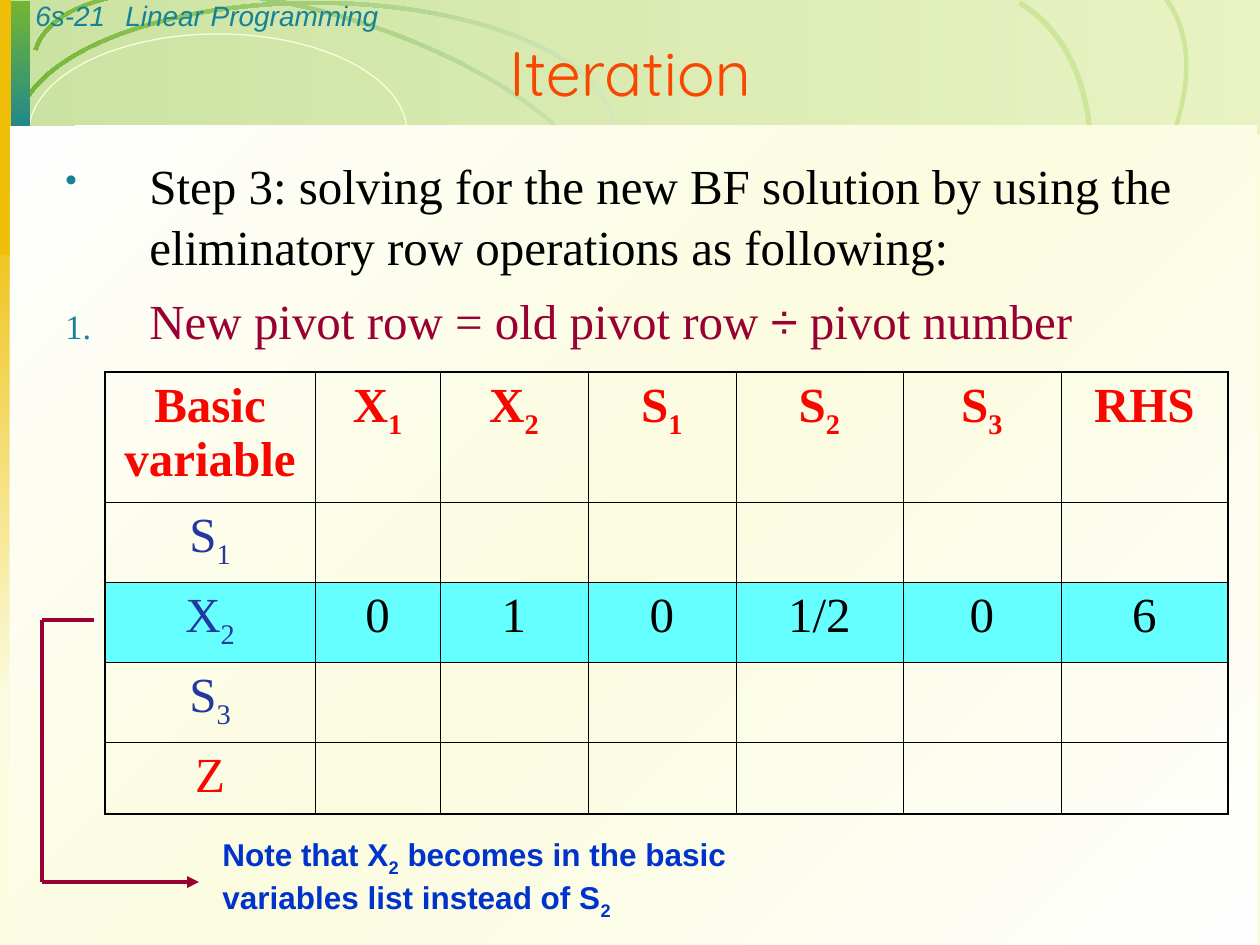
from itertools import pairwise

from lxml.etree import SubElement
from pptx import Presentation
from pptx.dml.color import RGBColor
from pptx.enum.shapes import MSO_CONNECTOR, MSO_SHAPE
from pptx.enum.text import MSO_ANCHOR, PP_ALIGN
from pptx.oxml import parse_xml
from pptx.oxml.ns import nsdecls, qn
from pptx.util import Pt

EMU_PER_PX = 914400 / 126
SERIF = "Times New Roman"
SANS = "Arial"
CREAM, YELLOW, GREEN, TEAL = "FBFCDF", "EFBE09", "74B632", "148298"
PALE_GREEN, LIME = "D4E8C0", "CDE69A"
ORANGE, MAROON, RED, NAVY, BLUE = "F84700", "990033", "F80600", "2237A0", "0033CC"
BLACK, WHITE, CYAN = "000000", "FEFEFE", "66FFFF"


def px(length):
    """Turn pixels into EMU."""
    return round(length * EMU_PER_PX)


def color(code):
    """Turn a hex string into a colour."""
    return RGBColor.from_string(code)


def add_gradient(shape, angle, stops):
    """Fill a shape with a linear gradient of (percent, colour, opacity) stops."""
    marks = "".join(
        f'<a:gs pos="{place * 1000}"><a:srgbClr val="{code}">'
        f'<a:alpha val="{opacity * 1000}"/></a:srgbClr></a:gs>'
        for place, code, opacity in stops
    )
    gradient = parse_xml(
        f'<a:gradFill {nsdecls("a")} rotWithShape="1"><a:gsLst>{marks}</a:gsLst>'
        f'<a:lin ang="{angle * 60000}" scaled="0"/></a:gradFill>'
    )
    shape._element.spPr.find(qn("a:prstGeom")).addnext(gradient)


def add_figure(page, kind, box, fill=None, angle=0, stops=()):
    """Add an unlined preset shape with a plain, gradient or empty fill."""
    shape = page.shapes.add_shape(kind, *map(px, box))
    shape.shadow.inherit = False
    shape.line.fill.background()
    if stops:
        add_gradient(shape, angle, stops)
    elif fill:
        shape.fill.solid()
        shape.fill.fore_color.rgb = color(fill)
    else:
        shape.fill.background()
    return shape


def add_arc(page, box, rotation=0, flip=False, **paint):
    """Add a thin half-ring, turned and flipped as asked."""
    arc = add_figure(page, MSO_SHAPE.BLOCK_ARC, box, **paint)
    for index, value in enumerate((108, 0, 0.014)):
        arc.adjustments[index] = value
    arc.rotation = rotation
    if flip:
        arc._element.spPr.xfrm.set("flipV", "1")


def add_spans(para, text, size, code, font=SERIF, bold=False, italic=False):
    """Write text whose every second part, split at bars, is a subscript."""
    for index, part in enumerate(text.split("|")):
        if part:
            span = para.add_run()
            span.text = part
            span.font.size, span.font.name = Pt(size), font
            span.font.bold, span.font.italic = bold, italic
            span.font.color.rgb = color(code)
            if index % 2:
                span._r.get_or_add_rPr().set("baseline", "-25000")


def add_text_box(page, box):
    """Add a wrapping text box and return its frame."""
    frame = page.shapes.add_textbox(*map(px, box)).text_frame
    frame.word_wrap = True
    return frame


def add_backdrop(page):
    """Draw the green header, the side bars and the pale panel."""
    rectangle = MSO_SHAPE.RECTANGLE
    arc_stops = [(0, PALE_GREEN, 100), (100, GREEN, 100)]
    add_figure(page, rectangle, (1, 0, 1259, 134), angle=180,
               stops=[(0, "BCDD7B", 29), (100, GREEN, 36)])
    add_arc(page, (20, 14, 601, 251), 17.5, angle=162, stops=arc_stops)
    oval = add_figure(page, MSO_SHAPE.OVAL, (29, 34, 378, 197))
    oval.line.color.rgb = color(CREAM)
    oval.line.width = Pt(0.75)
    add_figure(page, rectangle, (0, 195, 28, 505), angle=90,
               stops=[(0, YELLOW, 100), (100, CREAM, 100)])
    add_arc(page, (639, 30, 601, 326), 318.2, True, fill=LIME)
    add_arc(page, (567, 66, 601, 386), 300.7, True, fill=LIME)
    add_arc(page, (15, 1, 601, 261), angle=180, stops=arc_stops)
    add_figure(page, rectangle, (1, 1, 29, 145), angle=90,
               stops=[(0, GREEN, 100), (100, TEAL, 100)])
    add_figure(page, rectangle, (0, 0, 11, 255), YELLOW)
    add_figure(page, rectangle, (10, 126, 1247, 819), angle=225,
               stops=[(0, WHITE, 100), (50, CREAM, 100), (100, WHITE, 100)])


def add_header(page):
    """Write the page number, the chapter name and the title."""
    for text, left, width in (("6s-21", 23, 110), ("Linear Programming", 113, 1092)):
        frame = add_text_box(page, (left, -8, width, 47))
        add_spans(frame.paragraphs[0], text, 16, TEAL, SANS, italic=True)
    title = page.shapes.title
    title.left, title.top, title.width, title.height = map(px, (0, 8, 1260, 126))
    page.shapes._spTree.append(title._element)
    frame = title.text_frame
    frame.vertical_anchor = MSO_ANCHOR.MIDDLE
    para = frame.paragraphs[0]
    para.alignment = PP_ALIGN.CENTER
    add_spans(para, "Iteration", 36, ORANGE, "Quicksand")


def add_bullet(para, tag, attribute, value):
    """Give a paragraph a hanging teal bullet or number."""
    properties = para._p.get_or_add_pPr()
    properties.set("marL", str(px(84)))
    properties.set("indent", str(px(-84)))
    tint = SubElement(properties, qn("a:buClr"))
    SubElement(tint, qn("a:srgbClr")).set("val", TEAL)
    SubElement(properties, qn("a:buSzPct")).set("val", "70000")
    SubElement(properties, qn(tag)).set(attribute, value)


def add_steps(page, box):
    """Write the step and its first numbered operation."""
    frame = add_text_box(page, box)
    step, operation = frame.paragraphs[0], frame.add_paragraph()
    for para in (step, operation):
        para.space_before = Pt(7)
        para.line_spacing = 1.05
    add_bullet(step, "a:buChar", "char", "•")
    add_bullet(operation, "a:buAutoNum", "type", "arabicPeriod")
    add_spans(step, "Step 3: solving for the new BF solution by using the "
              "eliminatory row operations as following:", 28, BLACK)
    add_spans(operation, "New pivot row = old pivot row ", 28, MAROON)
    add_spans(operation, "÷", 28, MAROON, SANS)
    add_spans(operation, " pivot number", 28, MAROON)


def set_borders(cell, outer_sides):
    """Draw black cell borders, heavier on the outer sides."""
    properties = cell._tc.get_or_add_tcPr()
    for index, side in enumerate("LRTB"):
        width = 1.08 if side in outer_sides else 0.45
        properties.insert(index, parse_xml(
            f'<a:ln{side} {nsdecls("a")} w="{Pt(width)}"><a:solidFill>'
            f'<a:srgbClr val="{BLACK}"/></a:solidFill></a:ln{side}>'))


def add_tableau(page, left, top):
    """Add the simplex table with its pivot row filled."""
    widths = (210, 125, 148, 148, 167, 158, 167)
    heights = (130, 80, 80, 80, 72)
    rows = (
        ("Basic variable", "X|1", "X|2", "S|1", "S|2", "S|3", "RHS"),
        ("S|1",) + ("",) * 6,
        ("X|2", "0", "1", "0", "1/2", "0", "6"),
        ("S|3",) + ("",) * 6,
        ("Z",) + ("",) * 6,
    )
    label_colors = (RED, NAVY, NAVY, NAVY, RED)
    box = (left, top, sum(widths), sum(heights))
    table = page.shapes.add_table(len(rows), len(widths), *map(px, box)).table
    table.first_row = table.horz_banding = False
    for column, width in zip(table.columns, widths):
        column.width = px(width)
    for r, (texts, height) in enumerate(zip(rows, heights)):
        table.rows[r].height = px(height)
        for c, text in enumerate(texts):
            cell = table.cell(r, c)
            if r == 2:
                cell.fill.solid()
                cell.fill.fore_color.rgb = color(CYAN)
            else:
                cell.fill.background()
            edges = {"L": c == 0, "R": c == len(widths) - 1,
                     "T": r == 0, "B": r == len(rows) - 1}
            set_borders(cell, [side for side, outer in edges.items() if outer])
            para = cell.text_frame.paragraphs[0]
            para.alignment = PP_ALIGN.CENTER
            para.space_before = Pt(7)
            code = label_colors[r] if r == 0 or c == 0 else BLACK
            add_spans(para, text, 28, code, bold=r == 0)


def add_note(page, box):
    """Write the note and lead an arrow to it from the pivot row."""
    para = add_text_box(page, box).paragraphs[0]
    add_spans(para, "Note that X|2| becomes in the basic variables list "
              "instead of S|2", 18, BLUE, SANS, bold=True)
    left, top = box[:2]
    corners = ((left - 116, top - 209), (left - 168, top - 209),
               (left - 168, top + 53), (left - 11, top + 53))
    for start, end in pairwise(corners):
        line = page.shapes.add_connector(MSO_CONNECTOR.STRAIGHT, *map(px, start + end))
        line.line.color.rgb = color(MAROON)
        line.line.width = Pt(2.25)
        SubElement(line._element.spPr, qn("a:effectLst"))
    SubElement(line.line._get_or_add_ln(), qn("a:tailEnd")).set("type", "triangle")


def main():
    """Build the slide and save it."""
    deck = Presentation()
    deck.slide_width, deck.slide_height = px(1260), px(945)
    page = deck.slides.add_slide(deck.slide_layouts[5])
    page.background.fill.solid()
    page.background.fill.fore_color.rgb = color(CREAM)
    add_backdrop(page)
    add_header(page)
    add_steps(page, (53, 146, 1176, 212))
    add_tableau(page, 105, 372)
    add_note(page, (210, 829, 599, 98))
    deck.save("out.pptx")


if __name__ == "__main__":
    main()
